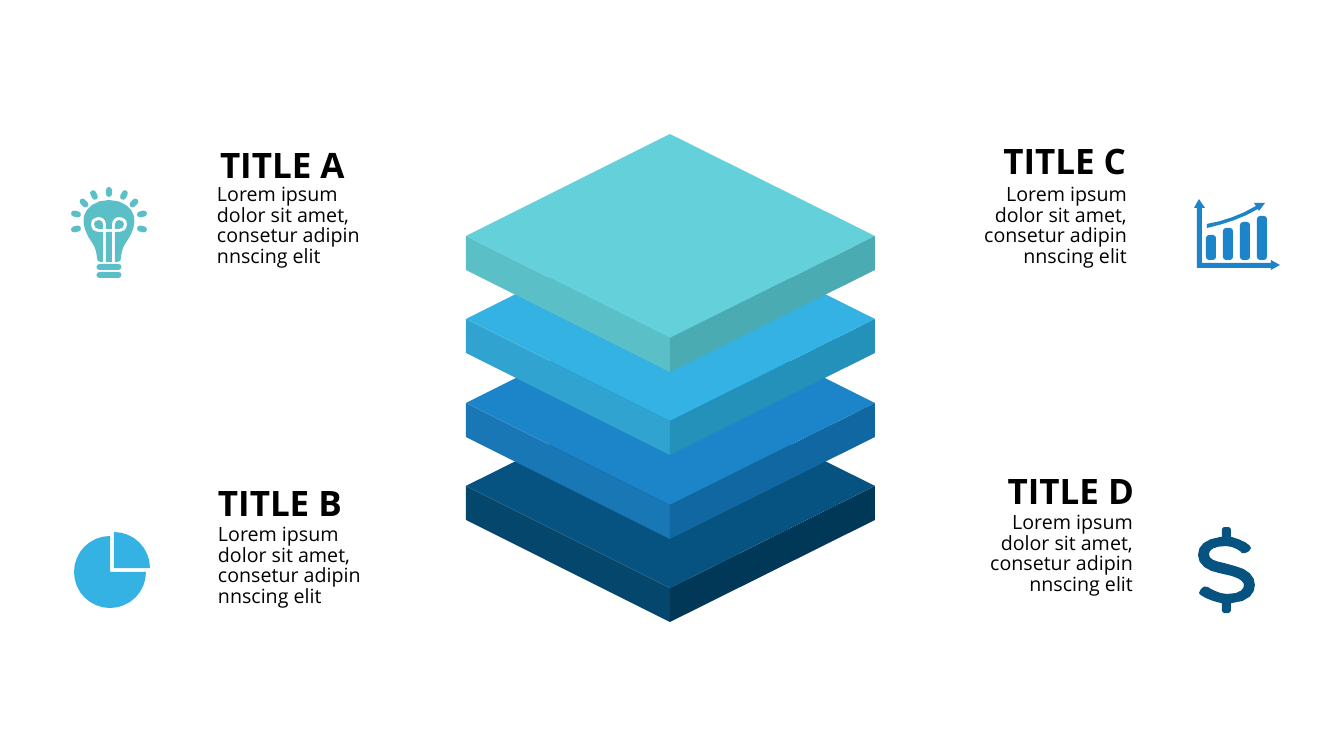
from dataclasses import dataclass
from math import ceil, cos, hypot, radians, sin

from pptx import Presentation
from pptx.dml.color import RGBColor
from pptx.enum.text import MSO_ANCHOR, PP_ALIGN
from pptx.util import Emu, Pt

LEFT, RIGHT = PP_ALIGN.LEFT, PP_ALIGN.RIGHT
TOP, MIDDLE = MSO_ANCHOR.TOP, MSO_ANCHOR.MIDDLE
EMU_PER_PIXEL = 914400 / 100.8
BLANK_LAYOUT = 6


@dataclass(frozen=True)
class Theme:
    font: str = "Open Sans"
    ink: str = "000000"
    heading_size: int = 25
    body_size: int = 14
    body_spacing: float = 0.88
    bulb: str = "5BBFC7"
    pie: str = "34B2E3"
    growth: str = "1C84C9"
    dollar: str = "065280"
    layers: tuple = (
        ("64D1DA", "5BBFC7", "4BABB3"),
        ("34B2E3", "30A3D0", "2491BB"),
        ("1C84C9", "1977B6", "1067A2"),
        ("065280", "05466D", "013858"),
    )


def px(length):
    return Emu(round(length * EMU_PER_PIXEL))


def arc(cx, cy, radius, start, end, steps):
    angles = [radians(start + (end - start) * i / steps) for i in range(steps + 1)]
    return [(cx + radius * cos(a), cy + radius * sin(a)) for a in angles]


def flatten(segments):
    points = []
    for *controls, x, y in segments:
        if controls:
            x0, y0 = points[-1]
            x1, y1, x2, y2 = controls
            steps = min(4, ceil(hypot(x - x0, y - y0) / 4))
            for i in range(1, steps + 1):
                t = i / steps
                weights = ((1 - t) ** 3, 3 * t * (1 - t) ** 2, 3 * t * t * (1 - t), t ** 3)
                points.append((sum(w * v for w, v in zip(weights, (x0, x1, x2, x))),
                               sum(w * v for w, v in zip(weights, (y0, y1, y2, y)))))
        else:
            points.append((x, y))
    return points


def mirror(points, axis):
    return [(2 * axis - x, y) for x, y in reversed(points)]


def capsule(cx, cy, length, width, angle):
    reach = (length - width) / 2
    dx, dy = reach * cos(radians(angle)), reach * sin(radians(angle))
    return (arc(cx + dx, cy + dy, width / 2, angle - 90, angle + 90, 4)
            + arc(cx - dx, cy - dy, width / 2, angle + 90, angle + 270, 4))


def rounded_bar(left, top, right, bottom, radius):
    corners = ((right - radius, bottom - radius), (left + radius, bottom - radius),
               (left + radius, top + radius), (right - radius, top + radius))
    return [point for i, (cx, cy) in enumerate(corners)
            for point in arc(cx, cy, radius, 90 * i, 90 * i + 90, 2)]


class SlideBuilder:
    def __init__(self, slide, theme):
        self.slide, self.theme = slide, theme

    def outline(self, contours, color, shapes=None):
        paths = [[(px(x), px(y)) for x, y in contour] for contour in contours]
        target = self.slide.shapes if shapes is None else shapes
        builder = target.build_freeform(*paths[0][0], scale=1.0)
        for i, path in enumerate(paths):
            if i:
                builder.move_to(*path[0])
            builder.add_line_segments(path[1:], close=True)
        shape = builder.convert_to_shape()
        shape.shadow.inherit = False
        shape.fill.solid()
        shape.fill.fore_color.rgb = RGBColor.from_string(color)
        shape.line.fill.background()

    def text(self, words, box, align, size, anchor, inset=(0, 0), bold=False, spacing=1.0):
        frame = self.slide.shapes.add_textbox(*map(px, box)).text_frame
        frame.word_wrap = True
        frame.vertical_anchor = anchor
        frame.margin_left = frame.margin_right = px(inset[0])
        frame.margin_top = frame.margin_bottom = px(inset[1])
        paragraph = frame.paragraphs[0]
        paragraph.alignment = align
        paragraph.line_spacing = spacing
        run = paragraph.add_run()
        run.text = words
        run.font.name, run.font.size, run.font.bold = self.theme.font, Pt(size), bold
        run.font.color.rgb = RGBColor.from_string(self.theme.ink)

    def heading(self, words, box, align):
        self.text(words, box, align, self.theme.heading_size, MIDDLE, bold=True)

    def body(self, words, box, align):
        self.text(words, box, align, self.theme.body_size, TOP, (10, 5),
                  spacing=self.theme.body_spacing)

    def layer(self, top, colors):
        left, middle, right, drop, thickness = 466, 670, 875, 102, 34
        side, front = top + drop, top + 2 * drop
        faces = (
            [(middle, top), (left, side), (middle, front), (right, side)],
            [(left, side), (left, side + thickness), (middle, front + thickness), (middle, front)],
            [(right, side), (middle, front), (middle, front + thickness), (right, side + thickness)],
        )
        group = self.slide.shapes.add_group_shape()
        for face, color in zip(faces, colors):
            self.outline([face], color, group.shapes)

    def bulb_icon(self):
        axis = 109
        glass = flatten([
            (109, 200), (95, 200, 86, 208, 84, 216), (83, 223, 84, 228, 87, 234),
            (89, 239, 93, 243, 95, 248), (96, 251, 97, 255, 97, 258),
            (97, 261, 98, 262, 101, 262), (103, 262), (103, 232), (99, 232),
            (97, 232, 95, 231, 93, 230), (92, 228, 91, 227, 91, 224),
            (91, 222, 92, 220, 93, 219), (95, 218, 97, 217, 99, 217),
            (103, 217, 106, 220, 106, 224), (106, 229), (109, 229)])
        loop = flatten([(99, 220), (96, 220, 94, 222, 94, 224), (94, 227, 96, 229, 99, 229),
                        (103, 229), (103, 224), (103, 222, 101, 220, 99, 220)])
        stem = [(106, 232), (112, 232), (112, 262), (106, 262)]
        rays = [capsule(*ray, 10, 6, angle) for *ray, angle in
                ((94, 195, 63), (84, 203, 45), (76, 214, 13), (76, 229, -13))]
        base = [capsule(axis, y, 25, 6, 0) for y in (267, 275)]
        self.outline([glass + mirror(glass, axis), loop, mirror(loop, axis), stem, *base,
                      capsule(axis, 192, 10, 6, 90), *rays,
                      *(mirror(ray, axis) for ray in rays)], self.theme.bulb)

    def pie_icon(self):
        self.outline([arc(110, 572, 36, 0, 270, 24) + [(110, 572)],
                      arc(114, 568, 36, 270, 360, 8) + [(114, 568)]], self.theme.pie)

    def growth_icon(self):
        bars = [rounded_bar(1206 + 17 * i, top, 1216 + 17 * i, 260, 3)
                for i, top in enumerate((235, 228, 222, 216))]
        trend = flatten([(1207, 228), (1225, 224, 1243, 218, 1258, 209), (1259, 211),
                         (1265, 203), (1254, 203), (1256, 206),
                         (1241, 215, 1224, 221, 1207, 224)])
        axes = [(1280, 265), (1271, 260), (1271, 263), (1202, 263), (1202, 208), (1205, 208),
                (1199, 199), (1194, 208), (1197, 208), (1197, 268), (1271, 268), (1271, 270)]
        self.outline([*bars, trend, axes], self.theme.growth)

    def dollar_icon(self):
        sign = flatten([
            (1255, 585), (1255, 576, 1248, 569, 1235, 566), (1224, 563),
            (1214, 561, 1209, 559, 1209, 554), (1209, 550, 1214, 546, 1226, 546),
            (1234, 546, 1242, 552, 1242, 553), (1245, 553), (1248, 552),
            (1249, 551, 1251, 549, 1251, 548), (1251, 545, 1243, 540, 1232, 537),
            (1231, 537), (1231, 529), (1229, 527), (1224, 527), (1222, 529),
            (1222, 537), (1220, 537), (1206, 539, 1198, 545, 1198, 555),
            (1198, 565, 1208, 571, 1219, 573), (1232, 576),
            (1242, 579, 1244, 583, 1244, 585), (1244, 588, 1242, 594, 1227, 594),
            (1219, 594, 1209, 588, 1208, 587), (1205, 586, 1203, 586, 1201, 589),
            (1199, 593), (1199, 595, 1210, 601, 1221, 603), (1222, 603), (1222, 611),
            (1224, 613), (1229, 613), (1231, 611), (1231, 603), (1232, 603),
            (1249, 602, 1255, 593, 1255, 585)])
        self.outline([sign], self.theme.dollar)


deck = Presentation()
deck.slide_width, deck.slide_height = px(1344), px(756)
theme = Theme()
page = SlideBuilder(deck.slides.add_slide(deck.slide_layouts[BLANK_LAYOUT]), theme)

description = "Lorem ipsum dolor sit amet, consetur adipin nnscing elit"
topics = (
    ("TITLE A", (220, 141, 143, 46), (207, 180, 168, 106), LEFT),
    ("TITLE B", (218, 479, 143, 46), (208, 520, 168, 105), LEFT),
    ("TITLE C", (975, 139, 151, 43), (951, 180, 186, 106), RIGHT),
    ("TITLE D", (979, 469, 155, 43), (957, 508, 186, 105), RIGHT),
)
for title, title_box, description_box, side in topics:
    page.heading(title, title_box, side)
    page.body(description, description_box, side)

for level, shades in reversed(list(enumerate(theme.layers))):
    page.layer(134 + round(83.3 * level), shades)

page.bulb_icon()
page.pie_icon()
page.growth_icon()
page.dollar_icon()

deck.save("out.pptx")
